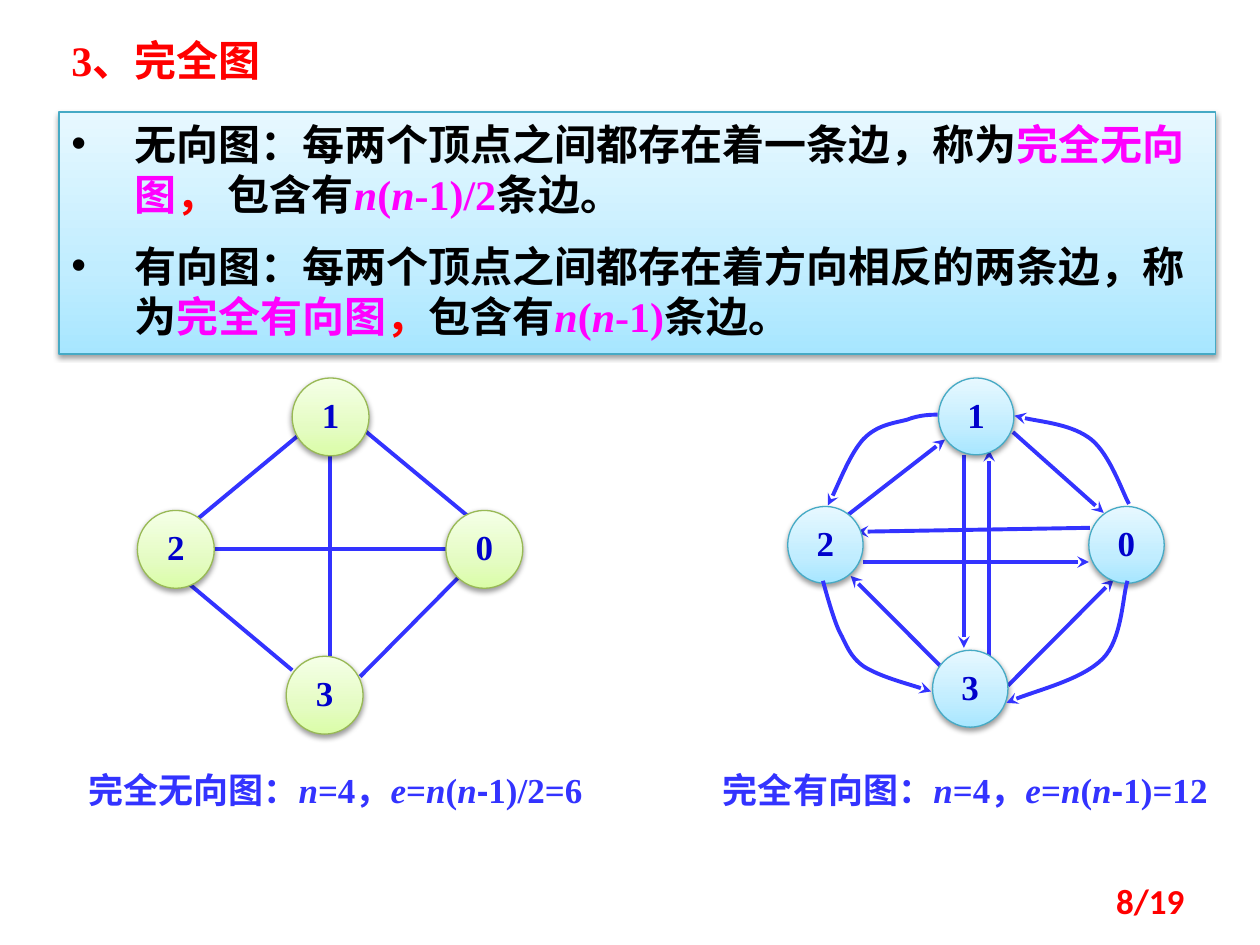
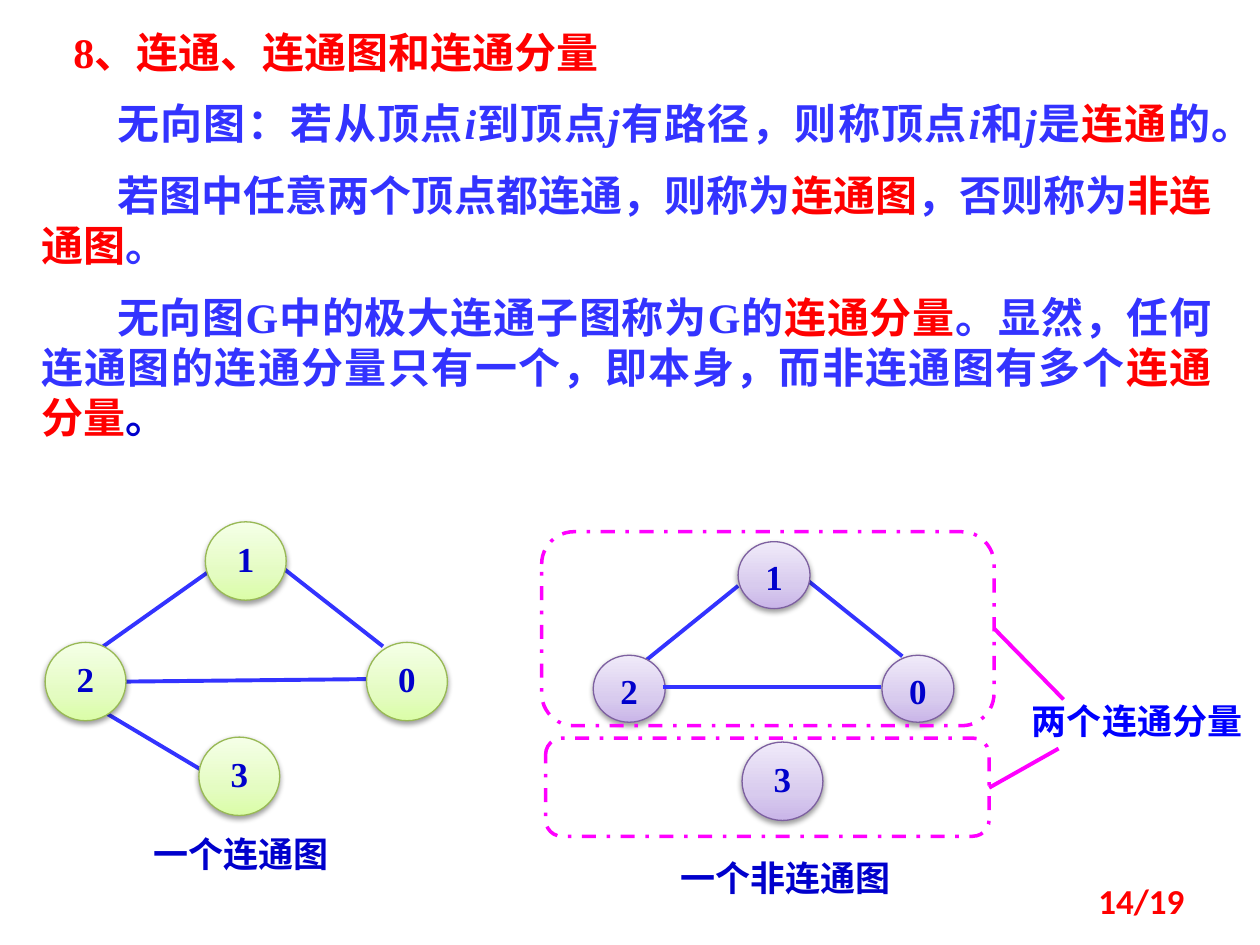
from copy import deepcopy
from dataclasses import dataclass
from itertools import groupby

from lxml import etree
from pptx import Presentation
from pptx.dml.color import RGBColor
from pptx.enum.dml import MSO_LINE
from pptx.enum.shapes import MSO_CONNECTOR, MSO_SHAPE
from pptx.enum.text import MSO_ANCHOR, MSO_AUTO_SIZE, PP_ALIGN
from pptx.oxml.ns import qn
from pptx.util import Cm, Pt

LEFT, CENTER, RIGHT, JUSTIFY = PP_ALIGN.LEFT, PP_ALIGN.CENTER, PP_ALIGN.RIGHT, PP_ALIGN.JUSTIFY
TOP, MIDDLE = MSO_ANCHOR.TOP, MSO_ANCHOR.MIDDLE
FIT_SHAPE, FIXED_SIZE = MSO_AUTO_SIZE.SHAPE_TO_FIT_TEXT, MSO_AUTO_SIZE.NONE
RECTANGLE, ELLIPSE, ROUNDED = MSO_SHAPE.RECTANGLE, MSO_SHAPE.OVAL, MSO_SHAPE.ROUNDED_RECTANGLE
STRAIGHT = MSO_CONNECTOR.STRAIGHT
DASH_DOT = MSO_LINE.DASH_DOT


@dataclass(frozen=True)
class Theme:
    serif: str = "Times New Roman"
    sans: str = "Arial"
    number: str = "Calibri"
    heading_size: int = 24
    label_size: int = 20
    black: str = "000000"
    red: str = "FF0000"
    magenta: str = "FF00FF"
    blue: str = "3333FF"
    navy: str = "0000CC"
    bright_blue: str = "0000FF"
    edge_width: float = 2.25
    frame_width: float = 2
    outline_width: float = 0.75
    # Outline, then gradient colours from bottom to top
    green: tuple = ("98B955", "DAFDA7", "E4FCC2", "F5FFE7")
    cyan: tuple = ("46AAC5", "A7E6FF", "C1EDFF", "E7F8FF")
    purple: tuple = ("7D60A0", "C9B5E8", "D8CBEE", "F0EAF9")


THEME = Theme()


def formula(text, colour, minus_font=None):
    """Split a formula into runs with its variables in italics."""
    def kind(char):
        return "variable" if char.isalpha() else "minus" if char == "-" and minus_font else "plain"
    return [("".join(chars), colour, part == "variable", minus_font if part == "minus" else None)
            for part, chars in groupby(text, kind)]


class Deck:
    def __init__(self, theme):
        self.theme = theme
        self.presentation = Presentation()
        self.presentation.slide_width, self.presentation.slide_height = Cm(25.4), Cm(19.05)
        self.slide = None

    def new_slide(self, page):
        self.slide = self.presentation.slides.add_slide(self.presentation.slide_layouts[6])
        number = self.text((18.21, 17.65, 5.92, 1.02), [[(page, self.theme.red, False, self.theme.number)]],
                           self.theme.label_size, RIGHT)
        number.auto_size = FIXED_SIZE
        number.vertical_anchor = MIDDLE

    def add_paragraphs(self, frame, paragraphs, size, align):
        """Each run is (text, colour[, italic[, font]])."""
        frame.word_wrap = True
        for index, runs in enumerate(paragraphs):
            paragraph = frame.paragraphs[0] if index == 0 else frame.add_paragraph()
            paragraph.alignment = align
            if index:
                paragraph.space_before = Pt(size / 2)
            for text, colour, *style in runs:
                run = paragraph.add_run()
                run.text = text
                run.font.size = Pt(size)
                run.font.bold = True
                run.font.italic = bool(style and style[0])
                run.font.name = style[1] if len(style) > 1 and style[1] else self.theme.serif
                run.font.color.rgb = RGBColor.from_string(colour)

    def text(self, box, paragraphs, size, align=LEFT):
        frame = self.slide.shapes.add_textbox(*map(Cm, box)).text_frame
        self.add_paragraphs(frame, paragraphs, size, align)
        frame.auto_size = FIT_SHAPE
        return frame

    def caption(self, left, top, width, runs):
        self.text((left, top, width, 1.12), [runs], self.theme.label_size, CENTER)

    def indent(self, paragraph, margin, first_line, bullet=None):
        properties = paragraph._p.get_or_add_pPr()
        properties.set("marL", str(Cm(margin)))
        properties.set("indent", str(Cm(first_line)))
        if bullet:
            etree.SubElement(properties, qn("a:buFont")).set("typeface", self.theme.sans)
            etree.SubElement(properties, qn("a:buChar")).set("char", bullet)

    def stroke(self, line, colour, width):
        line.color.rgb = RGBColor.from_string(colour)
        line.width = Pt(width)

    def glossy(self, kind, box, palette):
        """A shape with a vertical gradient and a soft shadow."""
        shape = self.slide.shapes.add_shape(kind, *map(Cm, box))
        outline, *colours = palette
        self.stroke(shape.line, outline, self.theme.outline_width)
        shape.fill.gradient()
        shape.fill.gradient_angle = 90
        properties = shape._element.spPr
        stops = properties.find(qn("a:gradFill")).find(qn("a:gsLst"))
        stops.append(deepcopy(stops[0]))
        for stop, colour, position in zip(shape.fill.gradient_stops, colours, (0, 0.35, 1)):
            stop.color.rgb = RGBColor.from_string(colour)
            stop.position = position
        shape.shadow.inherit = False
        shadow = etree.SubElement(properties.find(qn("a:effectLst")), qn("a:outerShdw"),
                                  blurRad="40000", dist="20000", dir="5400000", rotWithShape="0")
        tint = etree.SubElement(shadow, qn("a:srgbClr"), val=self.theme.black)
        etree.SubElement(tint, qn("a:alpha"), val="38000")
        return shape

    def nodes(self, places, size, palette):
        for label, corner in places.items():
            frame = self.glossy(ELLIPSE, (*corner, *size), palette).text_frame
            frame.margin_left = frame.margin_right = frame.margin_bottom = 0
            frame.margin_top = Cm(0.3)
            frame.vertical_anchor = TOP
            self.add_paragraphs(frame, [[(label, self.theme.navy)]], self.theme.label_size, CENTER)
            frame.paragraphs[0].line_spacing = 0.72

    def arrowhead(self, shape):
        etree.SubElement(shape.line._get_or_add_ln(), qn("a:tailEnd"), type="stealth")

    def edges(self, ends, colour=THEME.blue, arrow=False):
        for points in ends:
            edge = self.slide.shapes.add_connector(STRAIGHT, *map(Cm, points))
            self.stroke(edge.line, colour, self.theme.edge_width)
            etree.SubElement(edge._element.spPr, qn("a:effectLst"))
            if arrow:
                self.arrowhead(edge)

    def curve(self, start, *points):
        """An arrow along cubic curves: two controls and an end point for each."""
        builder = self.slide.shapes.build_freeform(*map(Cm, start))
        builder.add_line_segments([(Cm(x), Cm(y)) for x, y in points], close=False)
        arc = builder.convert_to_shape()
        steps = list(arc._element.iter(qn("a:lnTo")))
        for first in range(0, len(steps), 3):
            cubic = etree.Element(qn("a:cubicBezTo"))
            steps[first].addprevious(cubic)
            for step in steps[first:first + 3]:
                cubic.append(step[0])
                step.getparent().remove(step)
        arc.fill.background()
        arc.shadow.inherit = False
        self.stroke(arc.line, self.theme.blue, self.theme.edge_width)
        self.arrowhead(arc)

    def dashed_frame(self, box):
        frame = self.slide.shapes.add_shape(ROUNDED, *map(Cm, box))
        frame.fill.background()
        frame.shadow.inherit = False
        self.stroke(frame.line, self.theme.magenta, self.theme.frame_width)
        frame.line.dash_style = DASH_DOT


deck = Deck(THEME)
black, red, magenta, blue, navy = THEME.black, THEME.red, THEME.magenta, THEME.blue, THEME.navy

# Slide 1: complete graphs
deck.new_slide("8/19")
deck.text((1.19, 0.58, 5.94, 1.27), [[("3、完全图", red)]], THEME.heading_size)

# Definitions
definitions = deck.glossy(RECTANGLE, (1.19, 2.26, 23.32, 4.88), THEME.cyan).text_frame
definitions.vertical_anchor = TOP
deck.add_paragraphs(definitions, [
    [("无向图：每两个顶点之间都存在着一条边，称为", black), ("完全无向图", magenta), ("， ", red),
     ("包含有", black), *formula("n(n-1)/2", magenta), ("条边。", black)],
    [("有向图：每两个顶点之间都存在着方向相反的两条边，称为", black), ("完全有向图", magenta), ("，", red),
     ("包含有", black), *formula("n(n-1)", magenta), ("条边。", black)],
], THEME.heading_size, LEFT)
for definition in definitions.paragraphs:
    deck.indent(definition, 1.27, -1.27, "•")

# Complete undirected graph
deck.edges([
    (6.12, 8.69, 3.73, 10.67), (3.56, 11.56, 5.89, 13.51), (7.26, 13.64, 9.35, 11.53),
    (7.11, 8.48, 9.5, 10.46), (3.56, 11.07, 9.78, 11.07), (6.65, 9.17, 6.65, 13.92),
])
deck.nodes({"1": (5.89, 7.62), "0": (8.99, 10.29), "2": (2.77, 10.29), "3": (5.77, 13.23)},
           (1.55, 1.57), THEME.green)

# Complete directed graph
deck.edges([
    (19.43, 9.17, 19.43, 13.06), (19.94, 13.72, 19.94, 9.07),
    (21.97, 10.64, 17.27, 10.72), (17.4, 11.33, 21.95, 11.33),
    (19.35, 13.82, 17.15, 11.61), (20.32, 13.82, 22.45, 11.68),
    (20.42, 8.71, 22.25, 10.34), (16.99, 10.46, 19.05, 8.86),
], arrow=True)
deck.nodes({"1": (18.92, 7.62), "0": (21.95, 10.21), "2": (15.88, 10.21), "3": (18.8, 13.11)},
           (1.52, 1.55), THEME.cyan)
deck.curve((22.73, 11.71), (22.63, 11.99), (22.63, 12.88), (22.23, 13.28),
           (21.82, 13.69), (20.7, 13.97), (20.29, 14.17))
deck.curve((18.9, 8.36), (18.8, 8.36), (18.54, 8.36), (18.29, 8.46),
           (18.03, 8.53), (17.68, 8.56), (17.4, 8.86), (17.15, 9.14), (16.84, 9.91), (16.69, 10.19))
deck.curve((16.59, 11.71), (16.64, 11.89), (16.79, 12.45), (16.92, 12.73),
           (17.07, 13), (17.12, 13.23), (17.42, 13.44), (17.75, 13.64), (18.49, 13.84), (18.77, 13.94))
deck.curve((22.76, 10.16), (22.63, 9.93), (22.38, 9.17), (22, 8.86),
           (21.62, 8.56), (20.78, 8.48), (20.45, 8.38))

# Edge counts
for left, graph, count in ((1.4, "完全无向图：", "e=n(n-1)/2=6"), (14.1, "完全有向图：", "e=n(n-1)=12")):
    deck.caption(left, 15.37, 10.72, [(graph, blue), *formula("n=4", blue), ("，", blue),
                                      *formula(count, blue, THEME.sans)])

# Slide 2: connectivity
deck.new_slide("14/19")
explanation = deck.text((0.58, 0.41, 24.1, 8.97), [
    [("8、连通、连通图和连通分量", red)],
    [("无向图：若从顶点", blue), ("i", blue, True), ("到顶点", blue), ("j", blue, True),
     ("有路径，则称顶点", blue), ("i", blue, True), ("和", blue), ("j", blue, True),
     ("是", blue), ("连通", red), ("的。", blue)],
    [("若图中任意两个顶点都连通，则称为", blue), ("连通图", red), ("，否则称为", blue),
     ("非连通图", red), ("。", blue)],
    [("无向图G中的极大连通子图称为G的", blue), ("连通分量", red),
     ("。显然，任何连通图的连通分量只有一个，即本身，而非连通图有多个", blue),
     ("连通分量", red), ("。", navy)],
], THEME.heading_size, JUSTIFY)
heading, *statements = explanation.paragraphs
deck.indent(heading, 0.65, 0)
for statement in statements:
    deck.indent(statement, 0, 1.53)

# Connected graph
deck.edges([
    (2.08, 13.03, 4.27, 11.48), (2.06, 14.33, 4.06, 15.52),
    (7.39, 13.69, 2.54, 13.74), (5.74, 11.48, 7.72, 13.03),
])
single_node = (1.63, 1.58)
deck.nodes({"1": (4.14, 10.52), "0": (7.39, 12.95), "2": (0.91, 12.95), "3": (4.01, 14.86)},
           single_node, THEME.green)
deck.caption(2.39, 16.66, 4.95, [("一个连通图", navy)])

# Unconnected graph
deck.edges([(18.19, 13.23, 16.23, 11.66), (14.88, 11.81, 12.9, 13.41)])
deck.nodes({"1": (14.88, 10.92), "0": (17.78, 13.21), "2": (11.96, 13.21)}, (1.45, 1.35), THEME.purple)
deck.edges([(13.36, 13.84, 17.75, 13.84)])
deck.nodes({"3": (14.96, 14.96)}, single_node, THEME.purple)
deck.caption(13.36, 17.15, 4.95, [("一个非连通图", navy)])

# Its two components
deck.caption(20.45, 13.97, 4.95, [("两个连通分量", THEME.bright_blue)])
deck.dashed_frame((10.92, 10.72, 9.12, 3.91))
deck.dashed_frame((11, 14.88, 8.94, 1.98))
deck.edges([(20.04, 12.67, 21.44, 14.1), (19.94, 15.88, 21.34, 15.09)], magenta)

deck.presentation.save("out.pptx")
